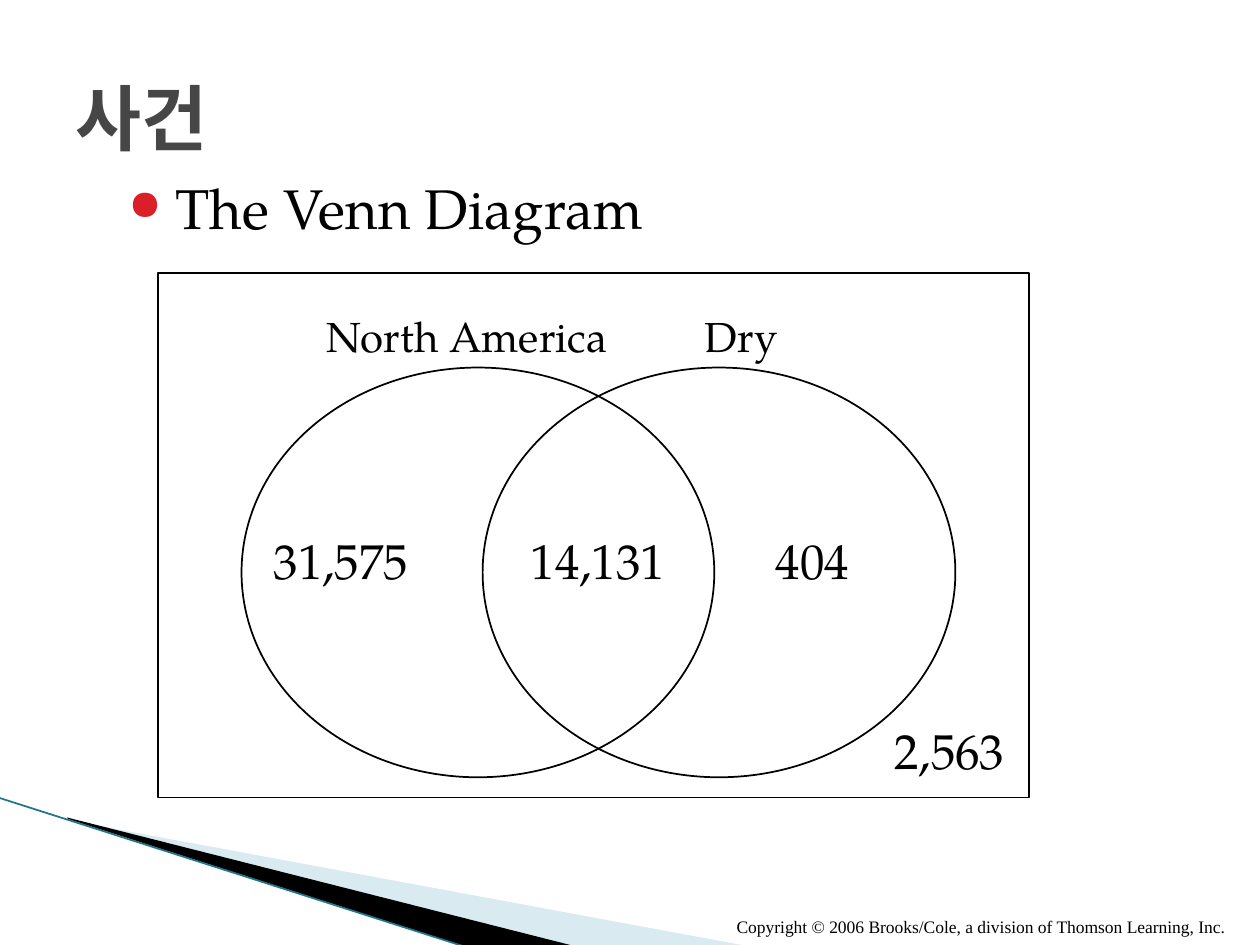
import pptx
import pptx.util
import pptx.dml.color
import pptx.enum.shapes
import pptx.enum.text
import pptx.oxml.ns
from lxml import etree

Cm = pptx.util.Cm
Pt = pptx.util.Pt
RGBColor = pptx.dml.color.RGBColor
SHAPE = pptx.enum.shapes.MSO_SHAPE
ANCHOR = pptx.enum.text.MSO_ANCHOR
qn = pptx.oxml.ns.qn

BLACK = RGBColor(0x00, 0x00, 0x00)
GREY = RGBColor(0x46, 0x46, 0x46)
RED = RGBColor(0xDA, 0x1F, 0x28)
PALE_BLUE = RGBColor(0xA0, 0xCB, 0xDC)
TEAL = RGBColor(0x1F, 0x76, 0x8A)

SERIF = "TeX Gyre Pagella"
SANS = "Noto Sans Mono"
TIMES = "Times New Roman"


class Deck:
    """Holds the style and the current slide; lengths are in centimetres."""

    def __init__(self, prs):
        self.s = prs.slides.add_slide(prs.slide_layouts[6])
        self.line_width = Pt(1)

    def text(self, x, y, w, h, text, size, font=SERIF, color=BLACK,
             bold=False, anchor=ANCHOR.TOP):
        sp = self.s.shapes.add_textbox(Cm(x), Cm(y), Cm(w), Cm(h))
        tf = sp.text_frame
        tf.word_wrap = True
        tf.vertical_anchor = anchor
        p = tf.paragraphs[0]
        r = p.add_run()
        r.text = text
        r.font.size = Pt(size)
        r.font.name = font
        r.font.bold = bold
        r.font.color.rgb = color
        etree.SubElement(r.font._element, qn("a:ea"), typeface=font)
        return p

    def bullet(self, p, char, color, percent, indent):
        pPr = p._p.get_or_add_pPr()
        pPr.set("marL", str(Cm(indent)))
        pPr.set("indent", str(-Cm(indent)))
        clr = etree.SubElement(pPr, qn("a:buClr"))
        etree.SubElement(clr, qn("a:srgbClr"), val=str(color))
        etree.SubElement(pPr, qn("a:buSzPct"), val=str(percent * 1000))
        etree.SubElement(pPr, qn("a:buChar"), char=char)

    def outline(self, kind, x, y, w, h):
        sp = self.s.shapes.add_shape(kind, Cm(x), Cm(y), Cm(w), Cm(h))
        sp.shadow.inherit = False
        sp.fill.background()
        sp.line.color.rgb = BLACK
        sp.line.width = self.line_width

    def polygon(self, points, color, alpha=None):
        pts = [(Cm(x), Cm(y)) for x, y in points]
        fb = self.s.shapes.build_freeform(*pts[0])
        fb.add_line_segments(pts[1:])
        sp = fb.convert_to_shape()
        sp.shadow.inherit = False
        sp.fill.solid()
        sp.fill.fore_color.rgb = color
        sp.line.fill.background()
        if alpha is not None:
            clr = sp._element.spPr.find(qn("a:solidFill"))[0]
            etree.SubElement(clr, qn("a:alpha"), val=str(alpha * 1000))

    def line(self, x1, y1, x2, y2, color):
        c = self.s.shapes.add_connector(
            pptx.enum.shapes.MSO_CONNECTOR.STRAIGHT,
            Cm(x1), Cm(y1), Cm(x2), Cm(y2))
        c.line.color.rgb = color
        c.line.width = self.line_width
        etree.SubElement(c._element.spPr, qn("a:effectLst"))


def main():
    prs = pptx.Presentation()
    prs.slide_width, prs.slide_height = Cm(25.4), Cm(19.05)
    d = Deck(prs)

    # Corner decoration
    d.polygon([(1.4, 16.54), (15.11, 19.08), (11.58, 19.08), (1.4, 16.51)],
              PALE_BLUE, alpha=40)
    d.polygon([(1.35, 16.48), (11.61, 19.08), (9.45, 19.1), (1.37, 16.51)],
              BLACK)
    d.line(-0.03, 16.08, 9.42, 19.1, TEAL)

    # Copyright, title and heading
    d.text(14.6, 18.34, 10.8, 0.71,
           "Copyright © 2006 Brooks/Cole, a division of Thomson Learning, Inc.",
           10, TIMES)
    d.text(1.27, 0.76, 22.86, 3.18, "사건", 41, SANS, GREY,
           bold=True, anchor=ANCHOR.MIDDLE)
    p = d.text(2.34, 3.38, 22.02, 1.6, "The Venn Diagram", 32)
    d.bullet(p, "●", RED, 75, 0.95)

    # Venn diagram: two sets inside the sample space
    d.outline(SHAPE.RECTANGLE, 3.18, 5.5, 17.57, 10.58)
    for x in (4.87, 9.73):
        d.outline(SHAPE.OVAL, x, 7.41, 9.53, 8.26)

    # Set names
    for x, w, name in ((6.34, 6.8, "North America"), (13.96, 3, "Dry")):
        d.text(x, 6.14, w, 1.27, name, 24)

    # Counts
    for x, y, count in ((5.27, 10.58, "31,575"), (10.45, 10.58, "14,131"),
                        (15.39, 10.58, "404"), (17.78, 14.4, "2,563")):
        d.text(x, y, 3.5, 1.45, count, 28)

    prs.save("out.pptx")


if __name__ == "__main__":
    main()
